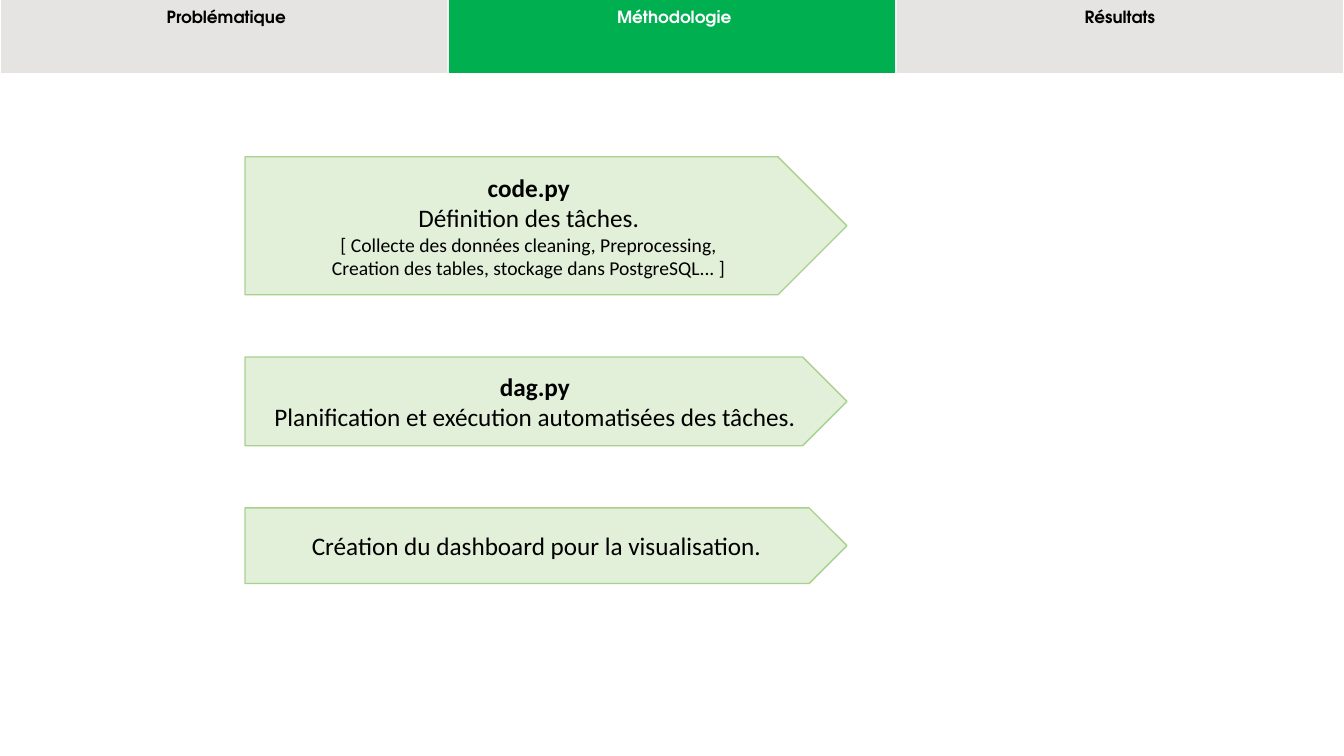
from lxml import etree
from pptx import Presentation
from pptx.dml.color import RGBColor
from pptx.enum import shapes, text
from pptx.oxml import ns
from pptx.util import Pt

BLACK = RGBColor(0, 0, 0)
WHITE = RGBColor(255, 255, 255)
GREY = RGBColor(0xE5, 0xE4, 0xE2)
GREEN = RGBColor(0, 0xB0, 0x50)
PALE = RGBColor(0xE2, 0xF0, 0xD9)
EDGE = RGBColor(0xA9, 0xD1, 0x8E)
RULE = RGBColor(0xF2, 0xF2, 0xF2)

TABS = [" Problématique", " Méthodologie", "Résultats"]
STEPS = [
    (98.6, [
        ("code.py", 18, True),
        ("Définition des tâches.", 18, False),
        ("[ Collecte des données cleaning, Preprocessing,", 14, False),
        ("Creation des tables, stockage dans PostgreSQL... ]", 14, False),
    ]),
    (63.4, [
        ("dag.py", 18, True),
        ("Planification et exécution automatisées des tâches.", 18, False),
    ]),
    (54, [("Création du dashboard pour la visualisation.", 18, False)]),
]


def write(para, words, size=18, font="Calibri", color=BLACK, bold=False, lead=None):
    para.alignment = text.PP_ALIGN.CENTER
    if lead:
        para.line_spacing = lead
    run = para.add_run()
    run.text = words
    run.font.size = Pt(size)
    run.font.name = font
    run.font.bold = bold
    run.font.color.rgb = color


def border(cell, side):
    props = cell._tc.get_or_add_tcPr()
    line = etree.SubElement(props, ns.qn("a:ln" + side), w=str(Pt(1)))
    fill = etree.SubElement(line, ns.qn("a:solidFill"))
    etree.SubElement(fill, ns.qn("a:srgbClr"), val=str(RULE))


def draw_tabs(slide, left, top, width, height, active):
    frame = slide.shapes.add_table(1, len(TABS), Pt(left), Pt(top), Pt(width), Pt(height))
    table = frame.table
    table.first_row = table.horz_banding = False
    for i, name in enumerate(TABS):
        table.columns[i].width = Pt(width / len(TABS))
        cell = table.cell(0, i)
        if i > 0:
            border(cell, "L")
        if i < len(TABS) - 1:
            border(cell, "R")
        cell.fill.solid()
        cell.fill.fore_color.rgb = GREEN if i == active else GREY
        write(cell.text_frame.paragraphs[0], name, size=12, font="TeX Gyre Adventor",
              color=WHITE if i == active else BLACK, bold=True, lead=1.5)


def draw_step(slide, left, top, width, height, lines):
    step = slide.shapes.add_shape(shapes.MSO_SHAPE.PENTAGON,
                                  Pt(left), Pt(top), Pt(width), Pt(height))
    step.shadow.inherit = False
    step.fill.solid()
    step.fill.fore_color.rgb = PALE
    step.line.color.rgb = EDGE
    step.line.width = Pt(1)
    frame = step.text_frame
    frame.word_wrap = True
    frame.vertical_anchor = text.MSO_ANCHOR.MIDDLE
    for i, (words, size, bold) in enumerate(lines):
        para = frame.add_paragraph() if i else frame.paragraphs[0]
        write(para, words, size=size, bold=bold)


def draw_steps(slide, left, top, width, gap):
    for height, lines in STEPS:
        draw_step(slide, left, top, width, height, lines)
        top += height + gap


def main():
    deck = Presentation()
    deck.slide_width, deck.slide_height = Pt(960), Pt(540)
    slide = deck.slides.add_slide(deck.slide_layouts[6])
    draw_tabs(slide, 0, -1.4, 960, 54, active=1)
    draw_steps(slide, 175, 112, 430, gap=44.4)
    deck.save("out.pptx")


if __name__ == "__main__":
    main()
